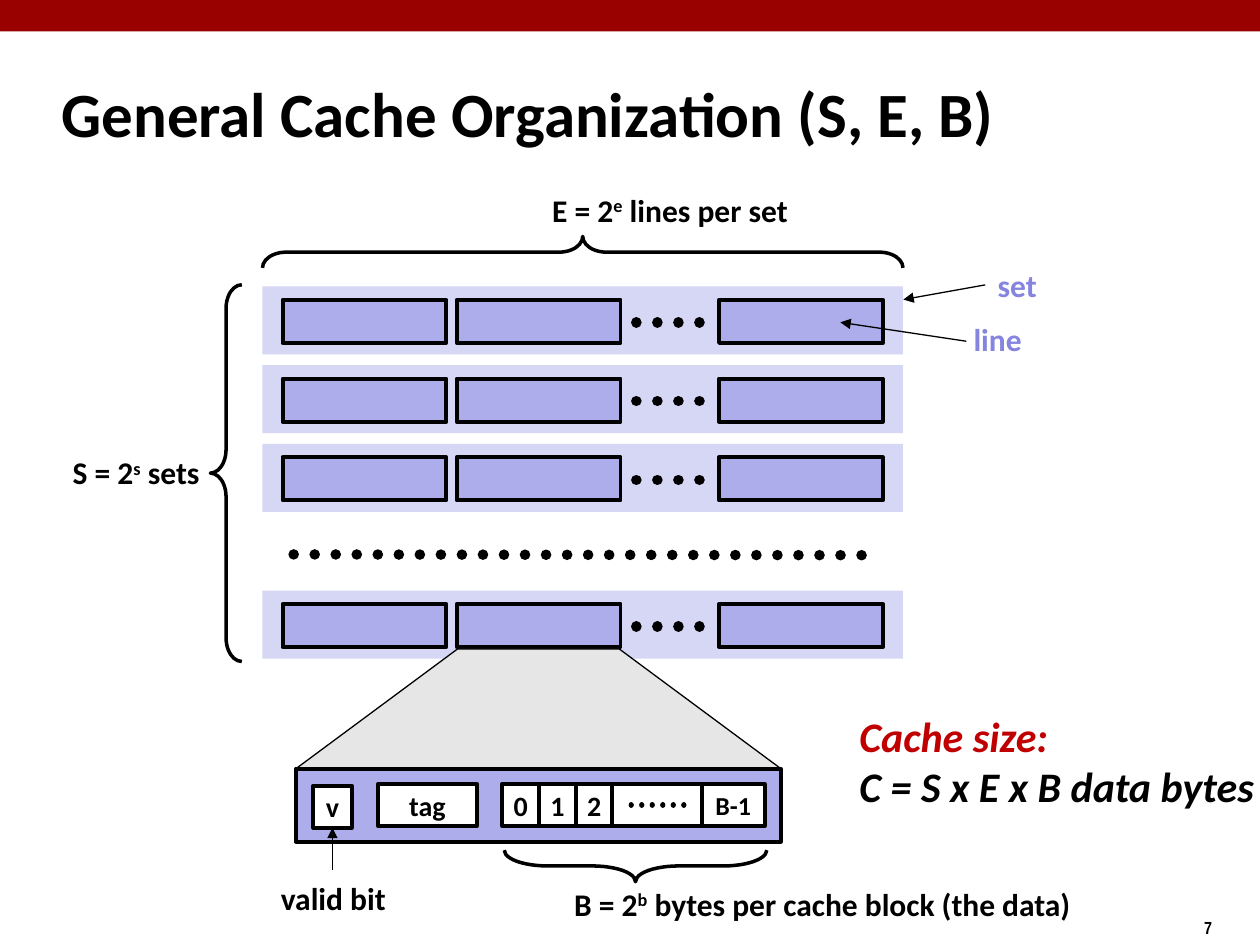
"""Build the slide on general cache organization (S, E, B)."""

from lxml.etree import SubElement
from pptx import Presentation
from pptx.dml.color import RGBColor
from pptx.enum.dml import MSO_LINE
from pptx.enum.shapes import MSO_CONNECTOR, MSO_SHAPE
from pptx.enum.text import MSO_ANCHOR, MSO_AUTO_SIZE, PP_ALIGN
from pptx.oxml.ns import qn
from pptx.util import Pt

BLACK = RGBColor(0x00, 0x00, 0x00)
WHITE = RGBColor(0xFF, 0xFF, 0xFF)
BANNER_RED = RGBColor(0x99, 0x00, 0x00)
ACCENT_RED = RGBColor(0xC0, 0x00, 0x00)
SET_LILAC = RGBColor(0xD6, 0xD6, 0xF5)
LINE_LILAC = RGBColor(0xAD, 0xAD, 0xEB)
LABEL_LILAC = RGBColor(0x85, 0x85, 0xE0)
ZOOM_GRAY = RGBColor(0xE6, 0xE6, 0xE6)


def write_text(box, text, size=18, color=BLACK, font="Calibri", italic=False,
               align=PP_ALIGN.LEFT, anchor=MSO_ANCHOR.TOP, wrap=False):
    """Write bold text; newlines split paragraphs and ^ encloses superscripts."""
    frame = box.text_frame
    frame.word_wrap = wrap
    frame.vertical_anchor = anchor
    for index, content in enumerate(text.split("\n")):
        para = frame.add_paragraph() if index else frame.paragraphs[0]
        para.alignment = align
        for position, part in enumerate(content.split("^")):
            span = para.add_run()
            span.text = part
            span.font.name = font
            span.font.size = Pt(size)
            span.font.bold = True
            span.font.italic = italic
            span.font.color.rgb = color
            if position % 2:
                span.font._element.set("baseline", "30000")


def add_figure(shapes, kind, left, top, width, height, fill=None, weight=0):
    """Add a preset shape with an optional fill and black outline."""
    figure = shapes.add_shape(kind, Pt(left), Pt(top), Pt(width), Pt(height))
    figure.shadow.inherit = False
    if fill is None:
        figure.fill.background()
    else:
        figure.fill.solid()
        figure.fill.fore_color.rgb = fill
    if weight:
        figure.line.color.rgb = BLACK
        figure.line.width = Pt(weight)
    else:
        figure.line.fill.background()
    return figure


deck = Presentation()
deck.slide_width = Pt(720)
deck.slide_height = Pt(540)
page = deck.slides.add_slide(deck.slide_layouts[5])
shapes = page.shapes

add_figure(shapes, MSO_SHAPE.RECTANGLE, 0, 0, 720, 18, BANNER_RED)

title = shapes.title
title.left, title.top, title.width, title.height = Pt(28), Pt(34), Pt(598), Pt(60)
write_text(title, "General Cache Organization (S, E, B)", size=36,
           anchor=MSO_ANCHOR.MIDDLE, wrap=True)

dotted_lines = [(shapes, 167.8, 316.8, 504, 317.3, 6)]
for set_top in (163.7, 208.7, 253.7, 337.5):
    cache_set = shapes.add_group_shape().shapes
    add_figure(cache_set, MSO_SHAPE.RECTANGLE, 150, set_top, 366, 38.9, SET_LILAC)
    for line_left in (161.5, 261, 410.9):
        add_figure(cache_set, MSO_SHAPE.RECTANGLE, line_left, set_top + 7.6,
                   93.6, 24.7, LINE_LILAC, 2.25)
    dot_top = set_top + 20.5
    dotted_lines.append((cache_set, 363.6, dot_top, 406, dot_top, 6))

zoom = add_figure(shapes, MSO_SHAPE.TRAPEZOID, 169.2, 370.8, 277, 68.4, ZOOM_GRAY, 0.75)
zoom.adjustments[0] = 1.35
add_figure(shapes, MSO_SHAPE.RECTANGLE, 169.2, 439.2, 277, 41.8, LINE_LILAC, 2.25)

fields = [("v", 179, 449, 22, 16), ("tag", 216, 448, 56.5, 16)]
byte_left = 287
for label, width, size in (("0", 21, 16), ("1", 21, 16), ("2", 21, 16),
                           ("", 51, 16), ("B-1", 36, 14.8)):
    fields.append((label, byte_left, 448, width, size))
    byte_left += width

field_boxes = {}
for label, left, top, width, size in fields:
    field = add_figure(shapes, MSO_SHAPE.RECTANGLE, left, top, width, 24, WHITE, 2.25)
    frame = field.text_frame
    frame.margin_left = frame.margin_right = frame.margin_top = frame.margin_bottom = 0
    if label:
        write_text(field, label, size=size, align=PP_ALIGN.CENTER, anchor=MSO_ANCHOR.MIDDLE)
    field_boxes[label] = field

for left, top, height, rotation, curve in (
    (324, -38.9, 366, 90, 0.75),
    (120.2, 162.7, 215.3, 0, 0.75),
    (354.2, 419.8, 150, 270, 1.37),
):
    brace = add_figure(shapes, MSO_SHAPE.LEFT_BRACE, left, top, 18, height, weight=2)
    brace.adjustments[0] = curve
    brace.adjustments[1] = 0.5
    brace.rotation = rotation

dotted_lines.append((shapes, 360.7, 460, 396.7, 460, 3))
for owner, start_x, start_y, end_x, end_y, weight in dotted_lines:
    dots = owner.add_connector(MSO_CONNECTOR.STRAIGHT, Pt(start_x), Pt(start_y),
                               Pt(end_x), Pt(end_y))
    dots.line.color.rgb = BLACK
    dots.line.width = Pt(weight)
    dots.line.dash_style = MSO_LINE.ROUND_DOT
    dots.line._get_or_add_ln().set("cap", "rnd")
    SubElement(dots._element.spPr, qn("a:effectLst"))

for start_x, start_y, end_x, end_y, target in (
    (563, 162.8, 516.2, 171.2, None),
    (552.2, 195, 480.2, 184.2, None),
    (190, 497, 190, 473, field_boxes["v"]),
):
    arrow = shapes.add_connector(MSO_CONNECTOR.STRAIGHT, Pt(start_x), Pt(start_y),
                                 Pt(end_x), Pt(end_y))
    if target:
        arrow.end_connect(target, 2)
    arrow.line.color.rgb = BLACK
    arrow.line.width = Pt(0.75)
    SubElement(arrow.line._get_or_add_ln(), qn("a:tailEnd"), type="triangle")
    SubElement(arrow._element.spPr, qn("a:effectLst"))

labels = {}
for text, left, top, width, height, style in (
    ("E = 2^e^ lines per set", 308.5, 105.5, 150, 29, {}),
    ("S = 2^s^ sets", 34.5, 255.3, 88, 29, {}),
    ("set", 563, 148.5, 38, 29, {"color": LABEL_LILAC, "anchor": MSO_ANCHOR.MIDDLE}),
    ("line", 549.2, 179.5, 43, 29, {"color": LABEL_LILAC}),
    ("valid bit", 153.4, 499, 78, 29, {}),
    ("B = 2^b^ bytes per cache block (the data)", 321, 502, 304, 29, {}),
    ("Cache size:\nC = S x E x B data bytes", 484, 402.5, 240, 65,
     {"size": 24, "italic": True}),
    ("7", 681, 520.5, 54, 19.5, {"size": 10, "font": "Arial Narrow"}),
):
    box = shapes.add_textbox(Pt(left), Pt(top), Pt(width), Pt(height))
    write_text(box, text, **style)
    box.text_frame.auto_size = MSO_AUTO_SIZE.SHAPE_TO_FIT_TEXT
    labels[text.split("\n")[0]] = box

labels["Cache size:"].text_frame.paragraphs[0].runs[0].font.color.rgb = ACCENT_RED

deck.save("out.pptx")
